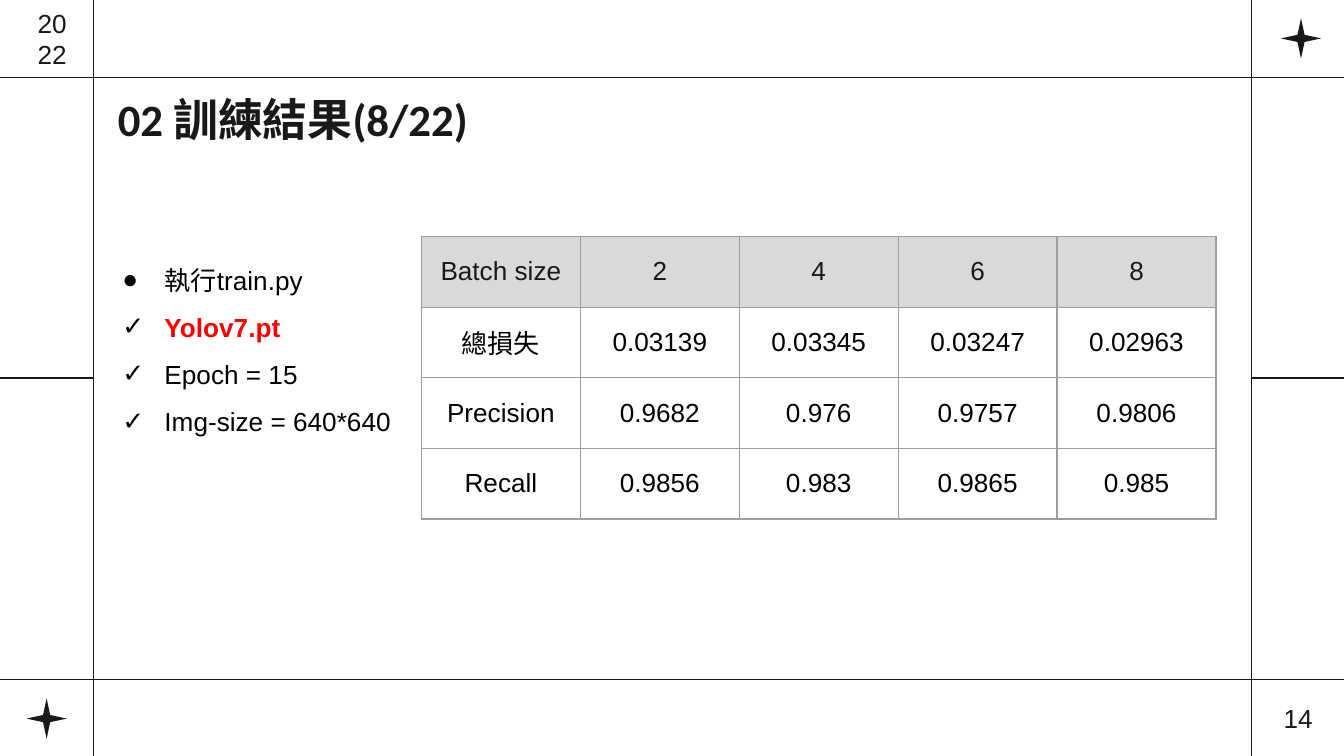
from dataclasses import dataclass

from pptx import Presentation
from pptx import util as u
from pptx.dml.color import RGBColor
from pptx.enum import shapes, text
from pptx.oxml import ns
from lxml import etree

Pt = u.Pt


@dataclass(frozen=True)
class Theme:
    ink: str = "191919"
    black: str = "000000"
    accent: str = "FF0000"
    white: str = "FFFFFF"
    header: str = "D9D9D9"
    border: str = "9E9E9E"
    title_size: float = 24
    body_size: float = 14
    line: float = 0.75
    title_font: str = "Calibri"
    body_font: str = "Arial"


def add_element(parent, tag, **attributes):
    return etree.SubElement(parent, ns.qn(tag), attributes)


class SlideBuilder:
    def __init__(self, page, theme):
        self.page = page
        self.theme = theme

    def style(self, para, color=None, size=None, font=None, bold=False):
        para.font.size = Pt(size or self.theme.body_size)
        para.font.name = font or self.theme.body_font
        para.font.bold = bold
        para.font.color.rgb = RGBColor.from_string(color or self.theme.ink)

    def rule(self, x1, y1, x2, y2):
        line = self.page.shapes.add_connector(
            shapes.MSO_CONNECTOR.STRAIGHT, Pt(x1), Pt(y1), Pt(x2), Pt(y2))
        line.line.color.rgb = RGBColor.from_string(self.theme.ink)
        line.line.width = Pt(self.theme.line)
        add_element(line._element.spPr, "a:effectLst")

    def star(self, left, top, size):
        star = self.page.shapes.add_shape(
            shapes.MSO_SHAPE.STAR_4_POINT, Pt(left), Pt(top), Pt(size), Pt(size))
        star.adjustments[0] = 0.125
        star.shadow.inherit = False
        star.fill.solid()
        star.fill.fore_color.rgb = RGBColor.from_string(self.theme.ink)
        star.line.fill.background()

    def frame(self, left, top, width, height, anchor=text.MSO_ANCHOR.TOP):
        box = self.page.shapes.add_textbox(Pt(left), Pt(top), Pt(width), Pt(height))
        frame = box.text_frame
        frame.word_wrap = True
        frame.vertical_anchor = anchor
        frame.margin_top = frame.margin_bottom = Pt(7.2)
        return frame

    def title(self, wording, left, top, width, height):
        para = self.frame(left, top, width, height).paragraphs[0]
        para.text = wording
        self.style(para, size=self.theme.title_size, font=self.theme.title_font, bold=True)

    def corner_label(self, lines, left, top, width, height):
        frame = self.frame(left, top, width, height, text.MSO_ANCHOR.MIDDLE)
        frame.text = "\n".join(lines)
        for para in frame.paragraphs:
            para.alignment = text.PP_ALIGN.CENTER
            self.style(para)

    def bullets(self, items, left, top, width, height, indent=22.5):
        """Each item is (mark, wording, color, bold)."""
        frame = self.frame(left, top, width, height)
        frame.margin_top = frame.margin_bottom = Pt(3.6)
        frame.text = "\n".join(item[1] for item in items)
        for para, (mark, _, color, bold) in zip(frame.paragraphs, items):
            para.line_spacing = 1.5
            properties = para._p.get_or_add_pPr()
            properties.set("marL", str(Pt(indent)))
            properties.set("indent", str(-Pt(indent)))
            mark_color = add_element(properties, "a:buClr")
            add_element(mark_color, "a:srgbClr", val=self.theme.black)
            add_element(properties, "a:buFont", typeface=self.theme.body_font)
            add_element(properties, "a:buChar", char=mark)
            self.style(para, color=color, bold=bold)

    def table(self, rows, left, top, column_width, row_height):
        columns = len(rows[0])
        table = self.page.shapes.add_table(
            len(rows), columns, Pt(left), Pt(top),
            Pt(column_width * columns), Pt(row_height * len(rows))).table
        table.first_row = table.horz_banding = False
        for column in table.columns:
            column.width = Pt(column_width)
        for index, (row, values) in enumerate(zip(table.rows, rows)):
            row.height = Pt(row_height)
            for cell, value in zip(row.cells, values):
                self.cell(cell, value, is_header=index == 0)

    def cell(self, cell, value, is_header):
        cell.vertical_anchor = text.MSO_ANCHOR.MIDDLE
        para = cell.text_frame.paragraphs[0]
        para.text = value
        para.alignment = text.PP_ALIGN.CENTER
        self.style(para, self.theme.ink if is_header else self.theme.black)
        properties = cell._tc.get_or_add_tcPr()
        for side in ("a:lnL", "a:lnR", "a:lnT", "a:lnB"):
            edge = add_element(properties, side, w=str(Pt(self.theme.line)))
            fill = add_element(edge, "a:solidFill")
            add_element(fill, "a:srgbClr", val=self.theme.border)
        cell.fill.solid()
        cell.fill.fore_color.rgb = RGBColor.from_string(
            self.theme.header if is_header else self.theme.white)


def main():
    theme = Theme()
    deck = Presentation()
    width, height = 720, 405
    deck.slide_width, deck.slide_height = Pt(width), Pt(height)
    builder = SlideBuilder(deck.slides.add_slide(deck.slide_layouts[6]), theme)

    left_rule, right_rule = 50.2, 670.4
    top_rule, bottom_rule = 41.6, 364.2
    for x in (left_rule, right_rule):
        builder.rule(x, 0, x, height)
    for y in (top_rule, bottom_rule):
        builder.rule(0, y, width, y)
    for start, end in ((0, left_rule), (right_rule, width)):
        builder.rule(start, height / 2, end, height / 2)
    builder.star(686.2, 9.8, 21.6)
    builder.star(14.2, 374.2, 21.6)

    builder.title("02 訓練結果(8/22)", 56, 41.8, 284.4, 33.8)
    builder.corner_label(["20", "22"], 0, -0.7, 56, 42.5)
    builder.table([
        ["Batch size", "2", "4", "6", "8"],
        ["總損失", "0.03139", "0.03345", "0.03247", "0.02963"],
        ["Precision", "0.9682", "0.976", "0.9757", "0.9806"],
        ["Recall", "0.9856", "0.983", "0.9865", "0.985"],
    ], 225.8, 126.7, 85.15, 37.85)
    builder.bullets([
        ("●", "執行train.py", theme.black, False),
        ("✓", "Yolov7.pt", theme.accent, True),
        ("✓", "Epoch = 15", theme.black, False),
        ("✓", "Img-size = 640*640", theme.black, False),
    ], 58.5, 129.6, 167, 105.8)
    builder.corner_label(["14"], 671, 363.6, 49, 42.5)

    deck.save("out.pptx")


if __name__ == "__main__":
    main()
